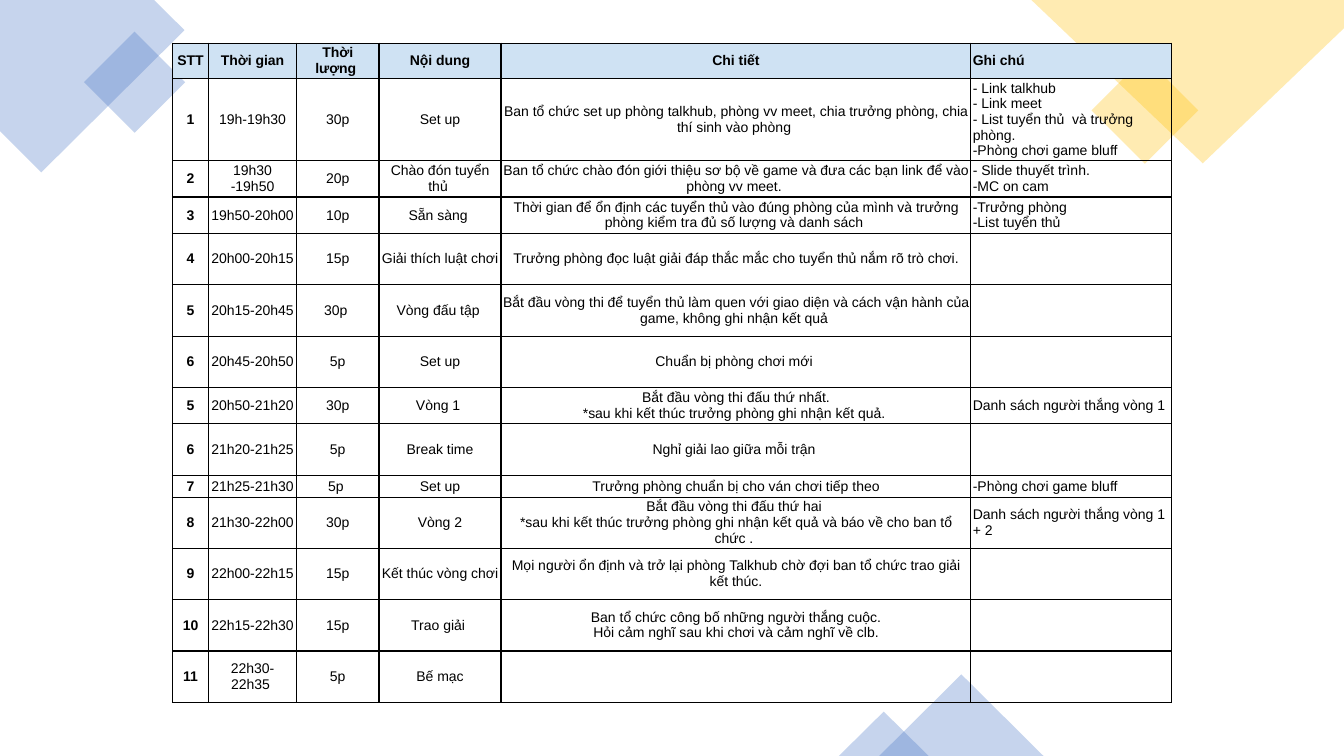
from lxml import etree
from pptx import Presentation
from pptx import util as u
from pptx.dml import color
from pptx.enum import shapes, text
from pptx.oxml import ns

Inches = u.Inches
HUES = {"blue": "4472C4", "gold": "FFC000", "head": "CFE2F3", "ink": "000000"}
HARD = chr(160)  # no-break space

deck = Presentation()
deck.slide_width, deck.slide_height = Inches(13.33), Inches(7.5)
slide = deck.slides.add_slide(deck.slide_layouts[6])


def tint(shape, hue):
    """Give a shape a 30 % opaque fill without line or shadow."""
    shape.shadow.inherit = False
    shape.line.fill.background()
    shape.fill.solid()
    shape.fill.fore_color.rgb = color.RGBColor.from_string(HUES[hue])
    clr = shape.fill._xPr.find(".//" + ns.qn("a:srgbClr"))
    etree.SubElement(clr, ns.qn("a:alpha"), val="30000")


# Large corner pieces, cut off by the slide edge
corners = [
    ("blue", [(1.53, 0), (0, 0), (0, 1.3), (0.41, 1.71), (1.83, 0.3)]),
    ("gold", [(13.33, 0), (10.23, 0), (11.93, 1.62), (13.33, 0.28)]),
]
for hue, pts in corners:
    pen = slide.shapes.build_freeform(Inches(pts[0][0]), Inches(pts[0][1]))
    pen.add_line_segments([(Inches(x), Inches(y)) for x, y in pts[1:]])
    tint(pen.convert_to_shape(), hue)

# Small diamonds and bottom triangles
RECT = shapes.MSO_SHAPE.RECTANGLE
PEAK = shapes.MSO_SHAPE.ISOSCELES_TRIANGLE
decor = [
    (RECT, "blue", 0.98, 0.46, 0.71, 0.71, 315),
    (RECT, "gold", 10.98, 0.72, 0.75, 0.75, 315),
    (PEAK, "blue", 8.72, 6.69, 1.63, 0.81, 0),
    (PEAK, "blue", 8.32, 7.06, 0.89, 0.44, 0),
]
for kind, hue, x, y, w, h, turn in decor:
    piece = slide.shapes.add_shape(kind, Inches(x), Inches(y), Inches(w), Inches(h))
    piece.rotation = turn
    tint(piece, hue)

# Schedule: one tuple per row, "|" starts a new paragraph
rows = [
    ("STT", "Thời gian", "Thời lượng ", "Nội dung", "Chi tiết", "Ghi chú"),
    ("1", "19h-19h30", "30p", "Set up",
     "Ban tổ chức set up phòng talkhub, phòng vv meet, chia trưởng phòng, chia thí sinh vào phòng ",
     "- Link talkhub |- Link meet|- List tuyển thủ  và trưởng phòng. |-Phòng chơi game bluff"),
    ("2", "19h30 -19h50", "20p", "Chào đón tuyển thủ ",
     "Ban tổ chức chào đón giới thiệu sơ bộ về game và đưa các bạn link để vào phòng vv meet. ",
     "- Slide thuyết trình. |-MC on cam "),
    ("3", "19h50-20h00", "10p", "Sẵn sàng ",
     "Thời gian để ổn định các tuyển thủ vào đúng phòng của mình và trưởng phòng "
     "kiểm tra đủ số lượng và danh sách ",
     "-Trưởng phòng |-List tuyển thủ "),
    ("4", "20h00-20h15", "15p", "Giải thích luật chơi",
     "Trưởng phòng đọc luật giải đáp thắc mắc cho tuyển thủ nắm rõ trò chơi.", ""),
    ("5", "20h15-20h45", "30p ", "Vòng đấu tập ",
     "Bắt đầu vòng thi để tuyển thủ làm quen với giao diện và cách vận hành của game, "
     "không ghi nhận kết quả ", ""),
    ("6", "20h45-20h50", "5p", "Set up", "Chuẩn bị phòng chơi mới ", ""),
    ("5", "20h50-21h20", "30p", "Vòng 1 ",
     "Bắt đầu vòng thi đấu thứ nhất.|*sau khi kết thúc trưởng phòng ghi nhận kết quả. ",
     "Danh sách người thắng vòng 1"),
    ("6", "21h20-21h25", "5p", "Break time", "Nghỉ giải lao giữa mỗi trận ", ""),
    ("7", "21h25-21h30", "5p ", "Set up",
     "Trưởng phòng chuẩn bị cho ván chơi tiếp theo", "-Phòng chơi game bluff"),
    ("8", "21h30-22h00", "30p", "Vòng 2",
     "Bắt đầu vòng thi đấu thứ hai |*sau khi kết thúc trưởng phòng ghi nhận kết quả "
     "và báo về cho ban tổ chức . ",
     "Danh sách người thắng vòng 1 + 2"),
    ("9", "22h00-22h15", "15p", "Kết thúc vòng chơi",
     "Mọi người ổn định và trở lại phòng Talkhub chờ đợi ban tổ chức trao giải kết thúc.", ""),
    ("10", "22h15-22h30", "15p", "Trao giải ",
     "Ban tổ chức công bố những người thắng cuộc.|Hỏi cảm nghĩ sau khi chơi và cảm nghĩ về clb.",
     ""),
    ("11", "22h30-22h35 ", "5p", "Bế mạc", "", ""),
]
wide = [0.36, 0.87, 0.82, 1.21, 4.66, 1.99]
high = [0.22, 0.65, 0.36, 0.36, 0.51, 0.51, 0.51, 0.36, 0.51, 0.22, 0.36, 0.51, 0.51, 0.51]

frame = slide.shapes.add_table(len(rows), len(wide), Inches(1.71), Inches(0.43),
                               Inches(sum(wide)), Inches(sum(high)))
table = frame.table
table.first_row = table.horz_banding = False
for col, w in zip(table.columns, wide):
    col.width = Inches(w)
for row, h in zip(table.rows, high):
    row.height = Inches(h)


def edge(cell):
    """Draw a 1 pt line on all four sides of a cell."""
    props = cell._tc.get_or_add_tcPr()
    for side in ("lnL", "lnR", "lnT", "lnB"):
        line = etree.SubElement(props, ns.qn("a:" + side), w=str(u.Pt(1)))
        fill = etree.SubElement(line, ns.qn("a:solidFill"))
        etree.SubElement(fill, ns.qn("a:srgbClr"), val=HUES["ink"])


# Fill the cells
for r, row in enumerate(rows):
    for c, words in enumerate(row):
        cell = table.cell(r, c)
        edge(cell)
        if r == 0:
            cell.fill.solid()
            cell.fill.fore_color.rgb = color.RGBColor.from_string(HUES["head"])
        else:
            cell.fill.background()
        cell.vertical_anchor = text.MSO_ANCHOR.MIDDLE
        cell.margin_left = cell.margin_right = Inches(0.02)
        cell.margin_top = cell.margin_bottom = Inches(0.02)
        if not words:
            continue
        for n, part in enumerate(words.split("|")):
            para = cell.text_frame.add_paragraph() if n else cell.text_frame.paragraphs[0]
            para.alignment = text.PP_ALIGN.LEFT if c == 5 else text.PP_ALIGN.CENTER
            run = para.add_run()
            # A closing space counts in the line width
            run.text = part.rstrip() + HARD if part[-1].isspace() else part
            run.font.name, run.font.size = "Arial", u.Pt(10)
            run.font.bold = r == 0 or c == 0
            run.font.color.rgb = color.RGBColor.from_string(HUES["ink"])

deck.save("out.pptx")
